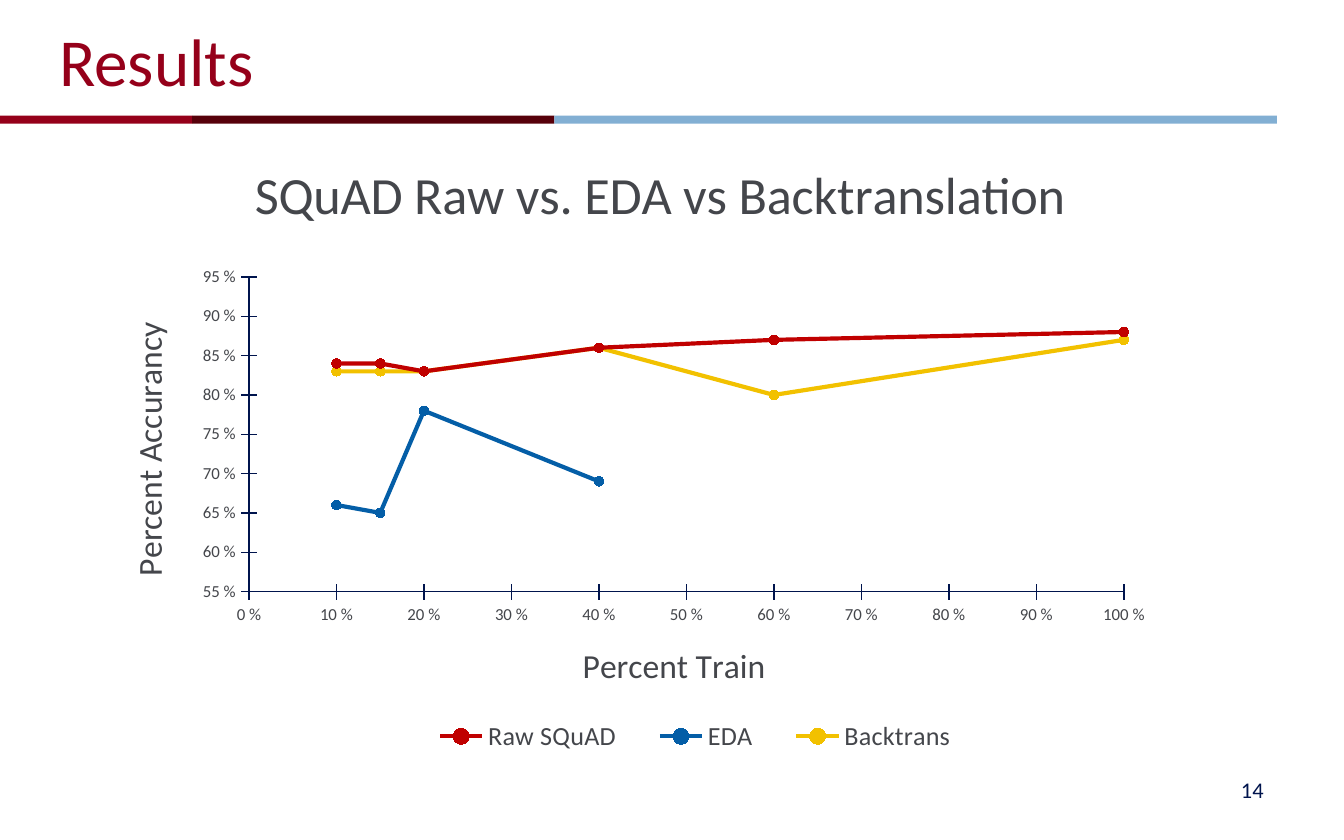
"""Builds the results slide: a title, a three-part rule and a scatter chart."""
from lxml import etree
from pptx import Presentation
from pptx.chart.data import XyChartData
from pptx.dml.color import RGBColor
from pptx.enum.chart import XL_CHART_TYPE, XL_LEGEND_POSITION, XL_MARKER_STYLE, XL_TICK_MARK
from pptx.enum.shapes import MSO_SHAPE
from pptx.enum.text import MSO_ANCHOR, PP_ALIGN
from pptx.oxml.ns import qn
from pptx.util import Pt

LINES = XL_CHART_TYPE.XY_SCATTER_LINES
BOTTOM = XL_LEGEND_POSITION.BOTTOM
CIRCLE = XL_MARKER_STYLE.CIRCLE
CROSS = XL_TICK_MARK.CROSS
NO_TICK = XL_TICK_MARK.NONE
RECT = MSO_SHAPE.RECTANGLE
MIDDLE = MSO_ANCHOR.MIDDLE
LEFT, RIGHT = PP_ALIGN.LEFT, PP_ALIGN.RIGHT

FONT = "Calibri"
NAVY, GRAY, RED = "00144D", "44464B", "95001A"
EDGES = [-0.7, 103, 297, 684]
BARS = [RED, "57000A", "82AFD3"]
TRAIN = [10, 15, 20, 40, 60, 100]
SERIES = [
    ("Raw SQuAD", "C00000", [84, 84, 83, 86, 87, 88]),
    ("EDA", "045EA7", [66, 65, 78, 69]),
    ("Backtrans", "F2C100", [83, 83, 83, 86, 80, 87]),
]
WIDE, HIGH = 605.5, 331.2
HEAD = ("SQuAD Raw vs. EDA vs Backtranslation", 28, (85.4, -5.2))
AXES = {
    "category_axis": ("Percent Train", (262.9, 260.8), (0, 100, 10), 0),
    "value_axis": ("Percent Accurancy", (18, 89.5), (55, 95, 5), -5400000),
}
PLOT = (87.4, 68.4, 468.7, 168.6)
LEGEND = (171, 304.5, 311, 20)


def color(code):
    return RGBColor.from_string(code)


def style(font, size, code):
    font.name, font.size, font.bold = FONT, Pt(size), False
    font.color.rgb = color(code)


def write(frame, text, size, code, align=None):
    frame.text = text
    para = frame.paragraphs[0]
    para.alignment = align
    style(para.runs[0].font, size, code)


def place(node, spots, inner=False):
    old = node.find(qn("c:layout"))
    if old is not None:
        node.remove(old)
    layout = etree.Element(qn("c:layout"))
    manual = etree.SubElement(layout, qn("c:manualLayout"))
    pairs = [("layoutTarget", "inner")] if inner else []
    pairs += [("xMode", "edge"), ("yMode", "edge")]
    pairs += [(tag, spot / full) for tag, spot, full in zip("xywh", spots, (WIDE, HIGH) * 2)]
    for tag, val in pairs:
        etree.SubElement(manual, qn("c:" + tag)).set("val", str(val))
    over = node.find(qn("c:overlay"))
    node.insert(0 if over is None else node.index(over), layout)


def add_bars(slide):
    for left, right, code in zip(EDGES, EDGES[1:], BARS):
        bar = slide.shapes.add_shape(RECT, Pt(left), Pt(62), Pt(right - left), Pt(4.3))
        bar.shadow.inherit = False
        bar.fill.solid()
        bar.fill.fore_color.rgb = color(code)
        bar.line.fill.background()


def set_axis(axis, text, spot, scale, turn):
    axis.minimum_scale, axis.maximum_scale, axis.major_unit = scale
    axis.has_major_gridlines = False
    axis.major_tick_mark, axis.minor_tick_mark = CROSS, NO_TICK
    labels = axis.tick_labels
    labels.number_format, labels.number_format_is_linked = "General\\ \\%", False
    style(labels.font, 9, GRAY)
    axis.format.line.color.rgb = color(NAVY)
    axis.format.line.width = Pt(0.75)
    title = axis.axis_title
    write(title.text_frame, text, 18, GRAY)
    title.text_frame._txBody.bodyPr.set("rot", str(turn))
    place(title._element, spot)


def add_graph(slide):
    data = XyChartData()
    for name, _, vals in SERIES:
        line = data.add_series(name)
        for x, y in zip(TRAIN, vals):
            line.add_data_point(x, y)
    box = [Pt(n) for n in (46, 80, WIDE, HIGH)]
    chart = slide.shapes.add_chart(LINES, *box, data).chart
    style(chart.font, 10, NAVY)
    text, size, spot = HEAD
    chart.has_title = True
    write(chart.chart_title.text_frame, text, size, GRAY)
    place(chart.chart_title._element, spot)
    for name, row in AXES.items():
        set_axis(getattr(chart, name), *row)
    chart.has_legend = True
    legend = chart.legend
    legend.position, legend.include_in_layout = BOTTOM, False
    style(legend.font, 14, GRAY)
    place(legend._element, LEGEND)
    plot = chart.plots[0]
    plot.vary_by_categories = False
    place(chart._chartSpace.chart.plotArea, PLOT, True)
    for line, (_, code, _) in zip(plot.series, SERIES):
        line.format.line.color.rgb = color(code)
        line.format.line.width = Pt(2.25)
        mark = line.marker
        mark.style, mark.size = CIRCLE, 5
        mark.format.fill.solid()
        mark.format.fill.fore_color.rgb = color(code)
        mark.format.line.color.rgb = color(code)


def main():
    deck = Presentation()
    deck.slide_width, deck.slide_height = Pt(720), Pt(450)
    slide = deck.slides.add_slide(deck.slide_layouts[5])
    add_bars(slide)
    title = slide.shapes.title
    title.left, title.top, title.width, title.height = Pt(24.5), Pt(1.5), Pt(648), Pt(60.5)
    write(title.text_frame, "Results", 36, RED, LEFT)
    title.text_frame.vertical_anchor = MIDDLE
    number = slide.shapes.add_textbox(Pt(516), Pt(411), Pt(168), Pt(24)).text_frame
    number.word_wrap = True
    number.vertical_anchor = MIDDLE
    write(number, "14", 12, NAVY, RIGHT)
    add_graph(slide)
    deck.save("out.pptx")


if __name__ == "__main__":
    main()
